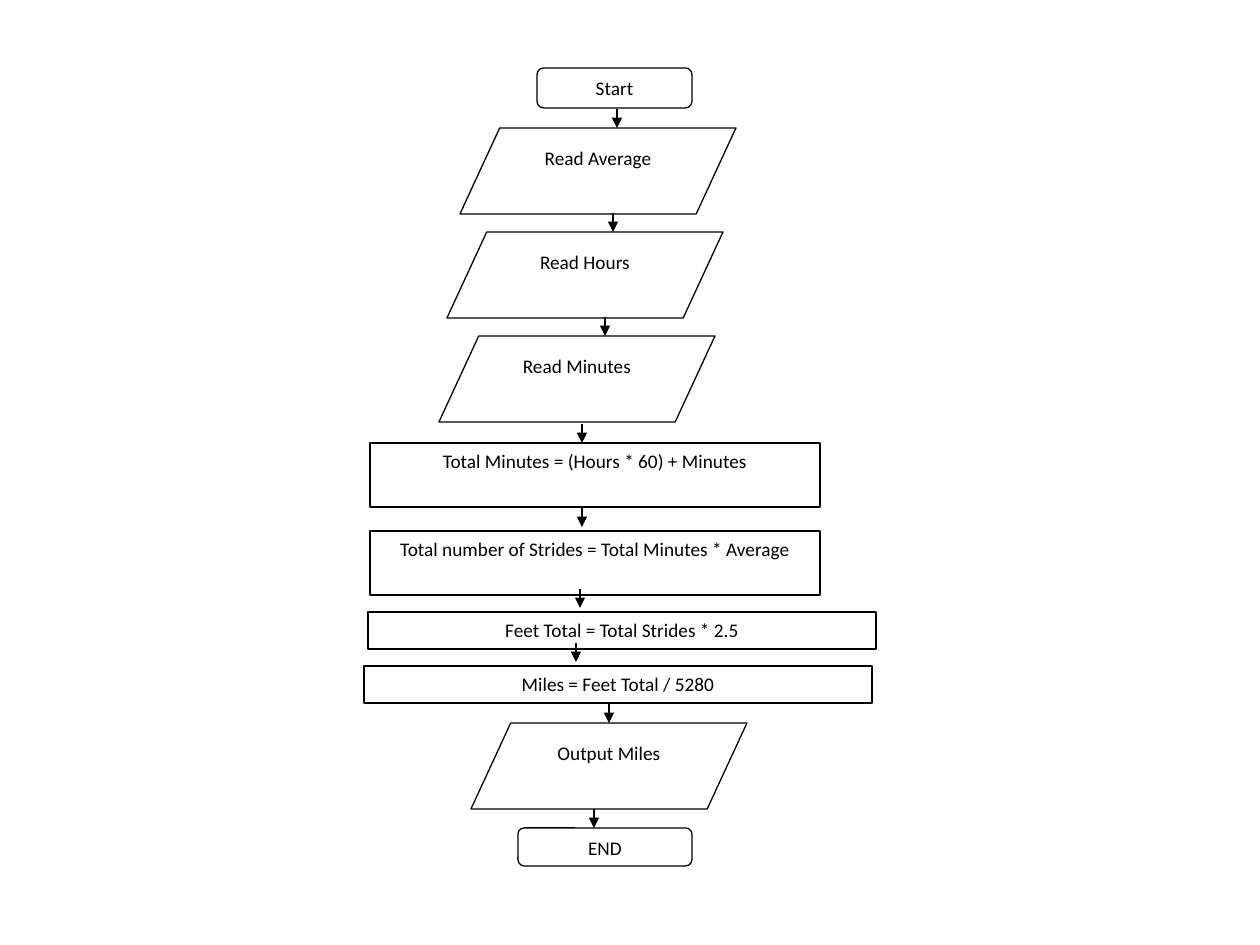
from lxml import etree
from pptx import Presentation
from pptx import util as u
from pptx.dml.color import RGBColor
from pptx.enum import shapes, text
from pptx.oxml.ns import qn

BLACK = RGBColor(0, 0, 0)
WHITE = RGBColor(255, 255, 255)
PX_PER_INCH = 126
ARROW_LENGTH = 19

TERMINAL = shapes.MSO_SHAPE.ROUNDED_RECTANGLE
DATA = shapes.MSO_SHAPE.PARALLELOGRAM
PROCESS = shapes.MSO_SHAPE.RECTANGLE
ADJUSTMENTS = {TERMINAL: 0.167, DATA: 0.462}
DATA_SIZE = (276, 86)
FORMULA_SIZE = (450, 64)
TOTAL_SIZE = (508, 37)

STEPS = [
    (TERMINAL, 537, 68, (155, 40), "Start"),
    (DATA, 460, 128, DATA_SIZE, "Read Average"),
    (DATA, 447, 232, DATA_SIZE, "Read Hours"),
    (DATA, 439, 336, DATA_SIZE, "Read Minutes"),
    (PROCESS, 370, 443, FORMULA_SIZE, "Total Minutes = (Hours * 60) + Minutes"),
    (PROCESS, 370, 531, FORMULA_SIZE, "Total number of Strides = Total Minutes * Average"),
    (PROCESS, 368, 612, TOTAL_SIZE, "Feet Total = Total Strides * 2.5"),
    (PROCESS, 364, 666, TOTAL_SIZE, "Miles = Feet Total / 5280"),
    (DATA, 471, 723, DATA_SIZE, "Output Miles"),
    (TERMINAL, 518, 828, (174, 38), "END"),
]
ARROWS = [
    (617, 109), (613, 213), (605, 317), (582, 424), (582, 508),
    (580, 589), (576, 643), (609, 704), (594, 809),
]


def px(n):
    return u.Emu(round(n * u.Inches(1) / PX_PER_INCH))


def write_text(s, content, size=11, font="Calibri", color=BLACK,
               align=text.PP_ALIGN.CENTER, anchor=text.MSO_ANCHOR.TOP):
    tf = s.text_frame
    tf.word_wrap = True
    tf.vertical_anchor = anchor
    p = tf.paragraphs[0]
    p.alignment = align
    p.space_after = u.Pt(10)
    r = p.add_run()
    r.text = content
    r.font.size = u.Pt(size)
    r.font.name = font
    r.font.color.rgb = color


def set_line(s):
    s.line.color.rgb = BLACK
    s.line.width = u.Pt(0.75)


def add_step(slide, kind, x, y, size, label):
    w, h = size
    s = slide.shapes.add_shape(kind, px(x), px(y), px(w), px(h))
    s.shadow.inherit = False
    if kind in ADJUSTMENTS:
        s.adjustments[0] = ADJUSTMENTS[kind]
    s.fill.solid()
    s.fill.fore_color.rgb = WHITE
    set_line(s)
    write_text(s, label)


def add_arrow(slide, x, y):
    s = slide.shapes.add_connector(
        shapes.MSO_CONNECTOR.STRAIGHT, px(x), px(y), px(x), px(y + ARROW_LENGTH))
    set_line(s)
    etree.SubElement(s.line._get_or_add_ln(), qn("a:tailEnd"), type="triangle")
    etree.SubElement(s._element.spPr, qn("a:effectLst"))


def main():
    prs = Presentation()
    prs.slide_width, prs.slide_height = u.Inches(10), u.Inches(7.5)
    slide = prs.slides.add_slide(prs.slide_layouts[6])
    for step in STEPS:
        add_step(slide, *step)
    for x, y in ARROWS:
        add_arrow(slide, x, y)
    prs.save("out.pptx")


if __name__ == "__main__":
    main()
